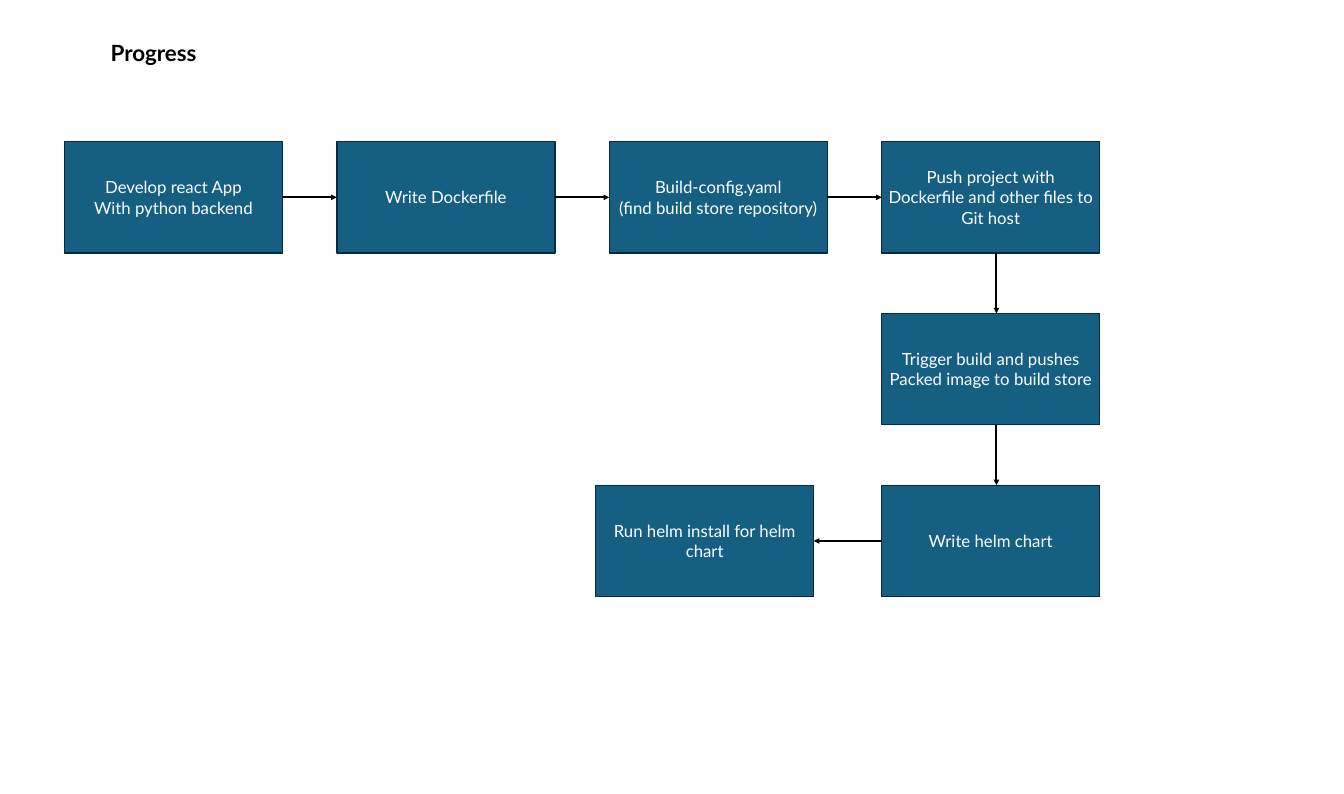
import dataclasses
import typing

import lxml.etree
import pptx
import pptx.dml.color
import pptx.enum.shapes
import pptx.enum.text
import pptx.oxml.ns
import pptx.util


@dataclasses.dataclass(frozen=True)
class Theme:
    font: str = "Lato"
    fill: str = "156082"
    edge: str = "092A39"
    ink: str = "000000"
    pale: str = "FFFFFF"
    head: float = 24
    body: float = 18
    rim: float = 1.5
    line: float = 2


@dataclasses.dataclass(frozen=True)
class Grid:
    left: float = 0.96
    top: float = 2.11
    col: float = 4.06
    row: float = 2.56
    wide: float = 3.25
    high: float = 1.66
    drop: float = 14.85


@dataclasses.dataclass(frozen=True)
class Step:
    text: str
    col: float
    row: int


THEME = Theme()
GRID = Grid()
TOP, LEFT, BASE, RIGHT = range(4)
STEPS = [
    Step("Develop react App\nWith python backend", 0, 0),
    Step("Write Dockerfile", 1, 0),
    Step("Build-config.yaml\n(find build store repository)", 2, 0),
    Step("Push project with Dockerfile and other files to Git host", 3, 0),
    Step("Trigger build and pushes Packed image to build store", 3, 1),
    Step("Write helm chart", 3, 2),
    Step("Run helm install for helm chart", 1.95, 2),
]


def inch(size: float) -> int:
    return pptx.util.Inches(size)


def tint(code: str) -> pptx.dml.color.RGBColor:
    return pptx.dml.color.RGBColor.from_string(code)


def write(frame: typing.Any, text: str, *, size: float, color: str,
          bold: bool = False, wrap: bool = True, mid: bool = False) -> None:
    frame.word_wrap = wrap
    anchor = pptx.enum.text.MSO_ANCHOR
    align = pptx.enum.text.PP_ALIGN
    frame.vertical_anchor = anchor.MIDDLE if mid else anchor.TOP
    for at, words in enumerate(text.split("\n")):
        para = frame.add_paragraph() if at else frame.paragraphs[0]
        para.alignment = align.CENTER if mid else align.LEFT
        run = para.add_run()
        run.text = words
        run.font.name = THEME.font
        run.font.size = pptx.util.Pt(size)
        run.font.bold = bold
        run.font.color.rgb = tint(color)


def draw(slide: typing.Any, step: Step) -> typing.Any:
    box = slide.shapes.add_shape(
        pptx.enum.shapes.MSO_SHAPE.RECTANGLE,
        inch(GRID.left + step.col * GRID.col),
        inch(GRID.top + step.row * GRID.row),
        inch(GRID.wide), inch(GRID.high))
    box.shadow.inherit = False
    box.fill.solid()
    box.fill.fore_color.rgb = tint(THEME.fill)
    box.line.color.rgb = tint(THEME.edge)
    box.line.width = pptx.util.Pt(THEME.rim)
    write(box.text_frame, step.text, size=THEME.body, color=THEME.pale, mid=True)
    return box


def link(slide: typing.Any, start: typing.Any, end: typing.Any) -> None:
    down = end.top > start.top
    drop = inch(GRID.drop)
    wire = slide.shapes.add_connector(
        pptx.enum.shapes.MSO_CONNECTOR.STRAIGHT,
        drop, start.top + start.height, drop, end.top)
    if not down:
        ahead = end.left > start.left
        wire.begin_connect(start, RIGHT if ahead else LEFT)
        wire.end_connect(end, LEFT if ahead else RIGHT)
    wire.line.color.rgb = tint(THEME.ink)
    wire.line.width = pptx.util.Pt(THEME.line)
    name = pptx.oxml.ns.qn
    tail = lxml.etree.SubElement(wire.line._get_or_add_ln(), name("a:tailEnd"))
    tail.set("type", "triangle")
    lxml.etree.SubElement(wire._element.spPr, name("a:effectLst"))


def main() -> None:
    deck = pptx.Presentation()
    deck.slide_width = inch(20.03)
    deck.slide_height = inch(11.83)
    slide = deck.slides.add_slide(deck.slide_layouts[6])
    title = slide.shapes.add_textbox(inch(1.55), inch(0.53), inch(1.54), inch(0.5))
    write(title.text_frame, "Progress", size=THEME.head, color=THEME.ink,
          bold=True, wrap=False)
    boxes = [draw(slide, step) for step in STEPS]
    for start, end in zip(boxes, boxes[1:]):
        link(slide, start, end)
    deck.save("out.pptx")


if __name__ == "__main__":
    main()
